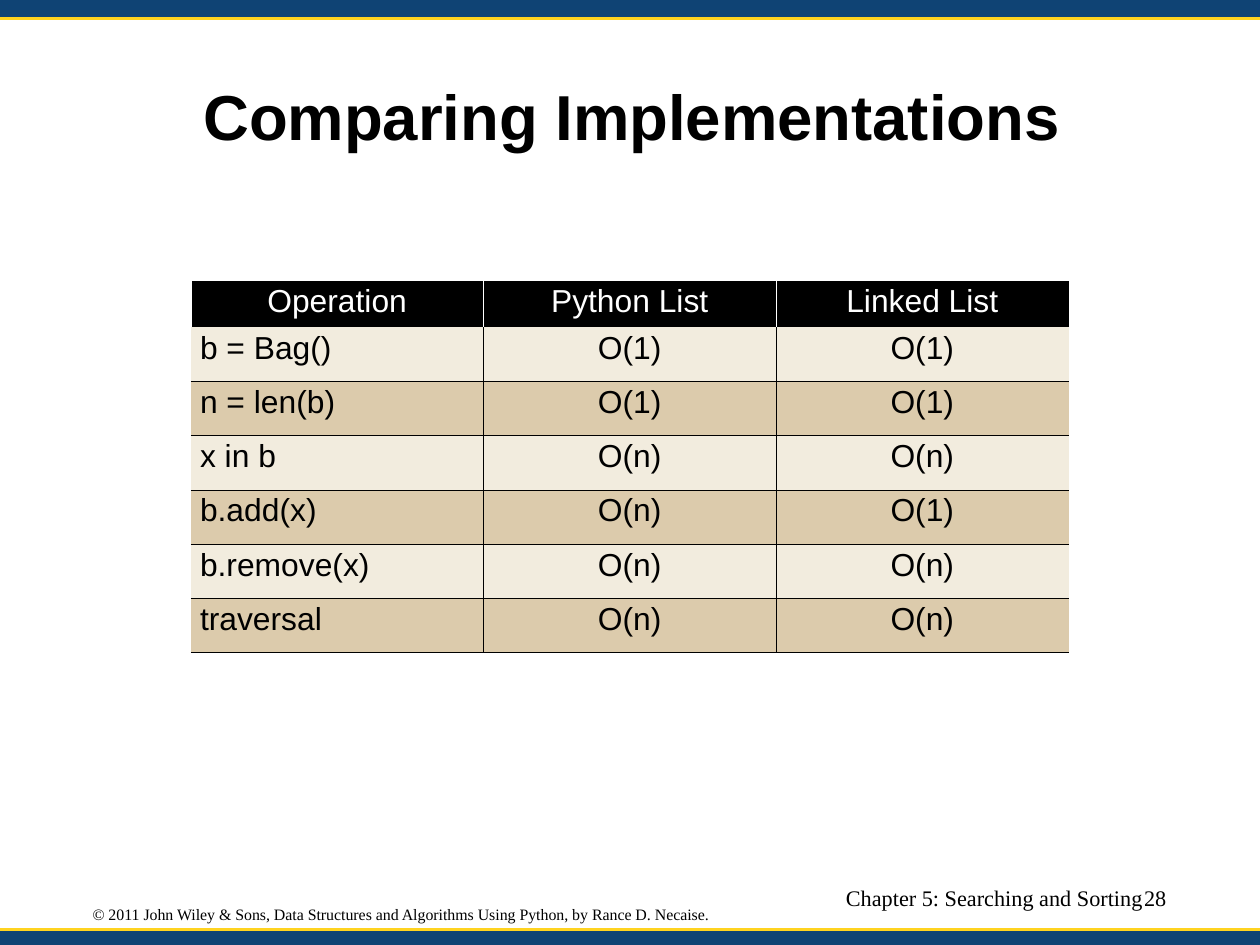
from lxml import etree
from pptx import Presentation
from pptx.dml.color import RGBColor
from pptx.enum import shapes, text
from pptx.oxml import ns
from pptx.util import Inches, Pt

# Content
TITLE = "Comparing Implementations"
ROWS = [
    ("Operation", "Python List", "Linked List"),
    ("b = Bag()", "O(1)", "O(1)"),
    ("n = len(b)", "O(1)", "O(1)"),
    ("x in b", "O(n)", "O(n)"),
    ("b.add(x)", "O(n)", "O(1)"),
    ("b.remove(x)", "O(n)", "O(n)"),
    ("traversal", "O(n)", "O(n)"),
]
COPYRIGHT = ("© 2011 John Wiley & Sons, Data Structures and Algorithms "
             "Using Python, by Rance D. Necaise.")
CHAPTER = "Chapter 5: Searching and Sorting"
PAGE = "28"


class Theme:
    sans, serif = "Arial", "Times New Roman"
    title, table, footer, small = 40, 20, 14, 10
    black, white = "000000", "FFFFFF"
    band, rule = "0F4374", "FFD320"
    light, dark = "F2ECDE", "DCCBAC"
    spacing = 0.93


# Measures, in inches; the slide is 28 by 21 cm
SLIDE_W, SLIDE_H = 28 / 2.54, 21 / 2.54
BAND_H, BOTTOM_Y = 0.16, 8.13
TABLE_X, TABLE_Y, TABLE_H, COL_W = 1.67, 2.45, 3.26, 2.56
HEAD_H = 0.41
FOOTER_Y, FOOTER_H = 7.76, 0.35

LEFT, CENTER, RIGHT = (text.PP_ALIGN.LEFT, text.PP_ALIGN.CENTER,
                       text.PP_ALIGN.RIGHT)


def rgb(value):
    return RGBColor.from_string(value)


def write(tf, words, size, font, color=Theme.black, align=LEFT, bold=False):
    p = tf.paragraphs[0]
    p.alignment, p.line_spacing = align, Theme.spacing
    r = p.add_run()
    r.text = words
    r.font.size, r.font.name, r.font.bold = Pt(size), font, bold
    r.font.color.rgb = rgb(color)


def add_label(s, box, words, size, font, top=0, middle=False, wrap=True,
              **style):
    tf = s.shapes.add_textbox(*map(Inches, box)).text_frame
    tf.word_wrap = wrap
    tf.margin_left = tf.margin_right = tf.margin_bottom = 0
    tf.margin_top = Inches(top)
    tf.vertical_anchor = (text.MSO_ANCHOR.MIDDLE if middle
                          else text.MSO_ANCHOR.TOP)
    write(tf, words, size, font, **style)


def add_band(s, y):
    sp = s.shapes.add_shape(shapes.MSO_SHAPE.RECTANGLE, 0, Inches(y),
                            Inches(SLIDE_W), Inches(BAND_H))
    sp.shadow.inherit = False
    sp.fill.solid()
    sp.fill.fore_color.rgb = rgb(Theme.band)
    sp.line.fill.background()


def add_rule(s, y):
    line = s.shapes.add_connector(shapes.MSO_CONNECTOR.STRAIGHT, 0, Inches(y),
                                  Inches(SLIDE_W), Inches(y))
    line.line.color.rgb, line.line.width = rgb(Theme.rule), Pt(2)
    etree.SubElement(line._element.spPr, ns.qn("a:effectLst"))


def set_borders(cell, sides, color, width):
    tc_pr = cell._tc.get_or_add_tcPr()
    for side in "LRTB":
        ln = etree.SubElement(tc_pr, ns.qn(f"a:ln{side}"), w=str(Pt(width)))
        if side in sides:
            fill = etree.SubElement(ln, ns.qn("a:solidFill"))
            etree.SubElement(fill, ns.qn("a:srgbClr"), val=color)
        else:
            etree.SubElement(ln, ns.qn("a:noFill"))


def add_comparison(s):
    n_rows, n_cols = len(ROWS), len(ROWS[0])
    row_h = (TABLE_H - HEAD_H) / (n_rows - 1)
    table = s.shapes.add_table(n_rows, n_cols, Inches(TABLE_X), Inches(TABLE_Y),
                               Inches(COL_W * n_cols), Inches(TABLE_H)).table
    for col in table.columns:
        col.width = Inches(COL_W)
    for i, row in enumerate(ROWS):
        head = i == 0
        table.rows[i].height = Inches(HEAD_H if head else row_h)
        fill = Theme.black if head else (Theme.light if i % 2 else Theme.dark)
        for j, words in enumerate(row):
            cell = table.cell(i, j)
            if head:
                set_borders(cell, "LRT", Theme.white, 0.06)
            else:
                sides = "B" + "T" * (i > 1) + "L" * (j > 0) + "R" * (j < n_cols - 1)
                set_borders(cell, sides, Theme.black, 0.28)
            cell.fill.solid()
            cell.fill.fore_color.rgb = rgb(fill)
            cell.margin_left = cell.margin_right = Inches(0.1 if head else 0.08)
            cell.margin_top = cell.margin_bottom = Inches(0.05)
            write(cell.text_frame, words, Theme.table, Theme.sans,
                  color=Theme.white if head else Theme.black,
                  align=CENTER if head or j else LEFT)


def main():
    prs = Presentation()
    prs.slide_width, prs.slide_height = Inches(SLIDE_W), Inches(SLIDE_H)
    s = prs.slides.add_slide(prs.slide_layouts[6])

    # Bands and rules at the top and bottom edges
    for y in (0, BOTTOM_Y):
        add_band(s, y)
    for y in (BAND_H, BOTTOM_Y):
        add_rule(s, y)

    # Title and table
    add_label(s, (0.55, 0.33, 9.95, 1.38), TITLE, Theme.title, Theme.sans,
              top=0.04, middle=True, align=CENTER, bold=True)
    add_comparison(s)

    # Footer
    add_label(s, (0.81, 7.93, 5.45, 0.15), COPYRIGHT, Theme.small, Theme.serif,
              top=0.01, middle=True, wrap=False)
    add_label(s, (6.51, FOOTER_Y, 3.49, FOOTER_H), CHAPTER, Theme.footer,
              Theme.serif, align=RIGHT)
    add_label(s, (10.01, FOOTER_Y, 0.46, FOOTER_H), PAGE, Theme.footer,
              Theme.serif)

    prs.save("out.pptx")


if __name__ == "__main__":
    main()
